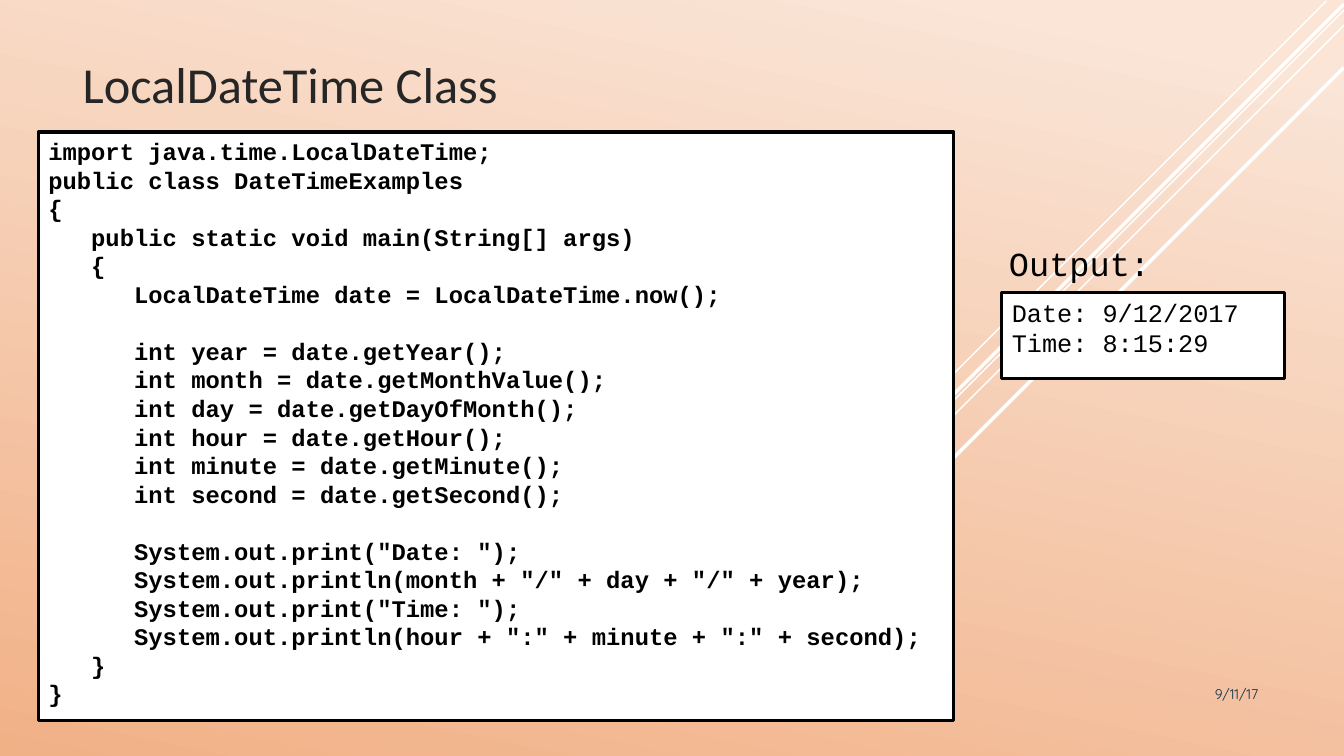
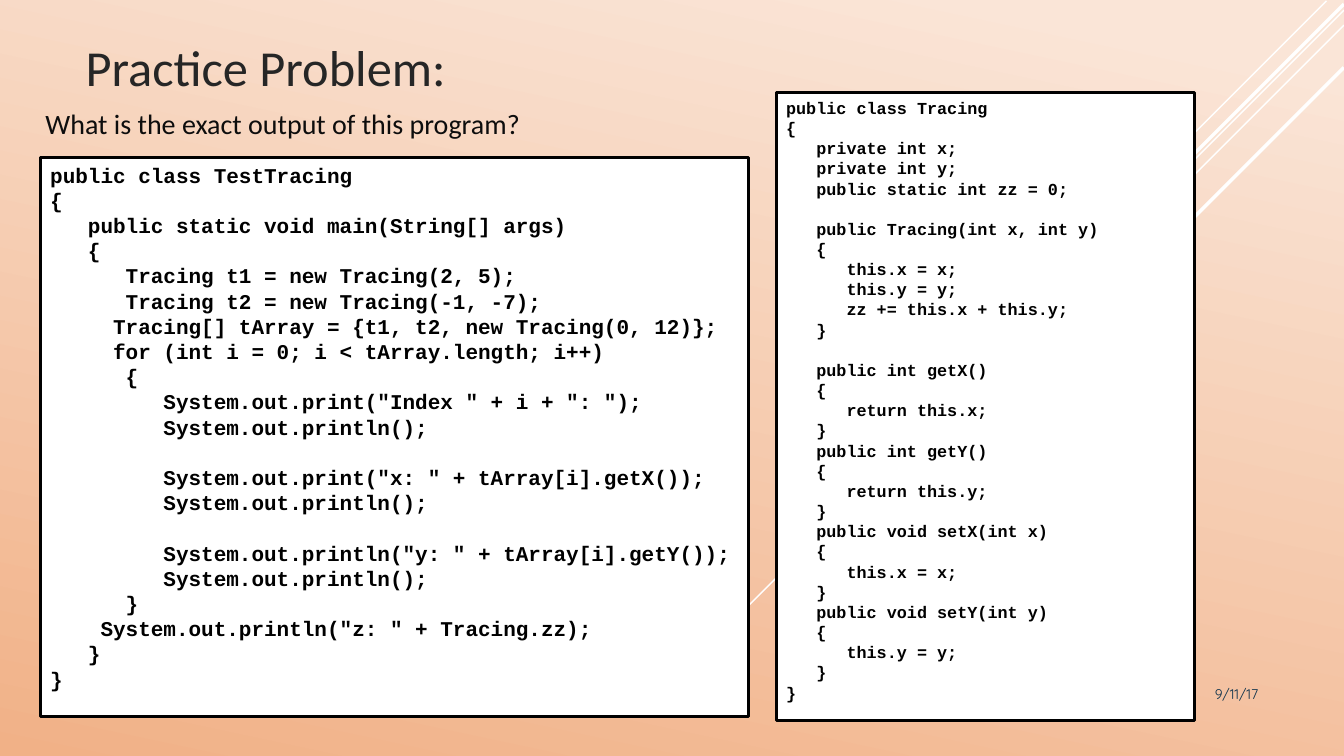
from dataclasses import dataclass

from lxml import etree
from pptx import Presentation
from pptx.dml.color import RGBColor
from pptx.enum.shapes import MSO_CONNECTOR, MSO_SHAPE
from pptx.enum.text import MSO_ANCHOR, MSO_AUTO_SIZE, PP_ALIGN
from pptx.oxml.ns import qn
from pptx.util import Pt

STRAIGHT = MSO_CONNECTOR.STRAIGHT
RECTANGLE = MSO_SHAPE.RECTANGLE
TOP, BOTTOM = MSO_ANCHOR.TOP, MSO_ANCHOR.BOTTOM
LEFT, RIGHT = PP_ALIGN.LEFT, PP_ALIGN.RIGHT
NO_AUTOFIT = MSO_AUTO_SIZE.NONE
TITLE_AND_CONTENT = 1


@dataclass(frozen=True)
class Theme:
    """Colours, fonts and type sizes of the whole presentation."""
    light: str = "FAE5D7"
    dark: str = "F1B187"
    white: str = "FFFFFF"
    black: str = "000000"
    title_color: str = "262626"
    body_color: str = "0D0D0D"
    date_color: str = "0A304A"
    text_font: str = "Calibri"
    code_font: str = "Courier New"
    date_font: str = "Quicksand"
    title_size: int = 36
    label_size: int = 24
    question_size: int = 20
    output_size: int = 18
    main_code_size: int = 17
    test_code_size: int = 15
    class_code_size: int = 12
    date_size: int = 10
    border: float = 2.25
    code_leading: float = 1.2


THEME = Theme()
SLIDE_SIZE = (960, 540)
DATE_BOX = (779.8, 486, 126, 28.8)
# Diagonal streaks: right end x, y, horizontal run, line width
STREAKS = [
    (947.5, 0.7, 299.8, 1),
    (960, 7.2, 478.8, 1),
    (960, 18, 390, 1),
    (960, 2.9, 382, 2.5),
    (960, 48.2, 342, 2.5),
]

DATE_TIME_CODE = """import java.time.LocalDateTime;
public class DateTimeExamples
{
   public static void main(String[] args)
   {
      LocalDateTime date = LocalDateTime.now();

      int year = date.getYear();
      int month = date.getMonthValue();
      int day = date.getDayOfMonth();
      int hour = date.getHour();
      int minute = date.getMinute();
      int second = date.getSecond();

      System.out.print("Date: ");
      System.out.println(month + "/" + day + "/" + year);
      System.out.print("Time: ");
      System.out.println(hour + ":" + minute + ":" + second);
   }
}"""

TRACING_CODE = """public class Tracing
{
   private int x;
   private int y;
   public static int zz = 0;

   public Tracing(int x, int y)
   {
      this.x = x;
      this.y = y;
      zz += this.x + this.y;
   }

   public int getX()
   {
      return this.x;
   }
   public int getY()
   {
      return this.y;
   }
   public void setX(int x)
   {
      this.x = x;
   }
   public void setY(int y)
   {
      this.y = y;
   }
}"""

TEST_CODE = """public class TestTracing
{
   public static void main(String[] args)
   {
      Tracing t1 = new Tracing(2, 5);
      Tracing t2 = new Tracing(-1, -7);
     Tracing[] tArray = {t1, t2, new Tracing(0, 12)};
     for (int i = 0; i < tArray.length; i++)
      {
         System.out.print("Index " + i + ": ");
         System.out.println();

         System.out.print("x: " + tArray[i].getX());
         System.out.println();

         System.out.println("y: " + tArray[i].getY());
         System.out.println();
      }
    System.out.println("z: " + Tracing.zz);
   }
}"""


def color(value):
    return RGBColor.from_string(value)


def apply(target, formats):
    for name, value in formats.items():
        setattr(target, name, value)


class Deck:
    """Holds the style and the current slide."""

    def __init__(self, theme):
        self.theme = theme
        self.slide = None
        self.presentation = Presentation()
        width, height = SLIDE_SIZE
        apply(self.presentation, {"slide_width": Pt(width), "slide_height": Pt(height)})
        self.paint_background()

    def paint_background(self):
        fill = self.presentation.slide_master.background.fill
        fill.gradient()
        fill.gradient_angle = 258
        stops = [(0.07, self.theme.light), (1, self.theme.dark)]
        for stop, (position, value) in zip(fill.gradient_stops, stops):
            stop.position = position
            stop.color.rgb = color(value)

    def new_slide(self, title, box):
        layout = self.presentation.slide_layouts[TITLE_AND_CONTENT]
        self.slide = self.presentation.slides.add_slide(layout)
        for layer, streak in enumerate(STREAKS):
            self.streak(layer, *streak)
        theme = self.theme
        self.place(self.slide.shapes.title, box)
        self.set_text(self.slide.shapes.title, title, theme.text_font, theme.title_size,
                      theme.title_color, anchor=BOTTOM)
        self.date("9/11/17")

    def place(self, shape, box):
        apply(shape, dict(zip(("left", "top", "width", "height"), map(Pt, box))))

    def set_text(self, shape, text, font, size, text_color, bold=False, align=LEFT, anchor=TOP):
        frame = shape.text_frame
        apply(frame, {"word_wrap": True, "auto_size": NO_AUTOFIT, "vertical_anchor": anchor})
        paragraph = frame.paragraphs[0]
        paragraph.text = text
        is_code = font == self.theme.code_font
        spacing = Pt(size * self.theme.code_leading) if is_code else 1.0
        apply(paragraph, {"alignment": align, "line_spacing": spacing,
                          "space_before": Pt(0), "space_after": Pt(0)})
        for run in paragraph.runs:
            apply(run.font, {"name": font, "size": Pt(size), "bold": bold})
            run.font.color.rgb = color(text_color)

    def streak(self, layer, x, y, run, width):
        """Draw one 45-degree line behind the placeholders."""
        shapes = self.slide.shapes
        line = shapes.add_connector(STRAIGHT, Pt(x), Pt(y), Pt(x - run), Pt(y + run))
        line.line.color.rgb = color(self.theme.white)
        line.line.width = Pt(width)
        etree.SubElement(line._element.spPr, qn("a:effectLst"))
        shapes._spTree.insert(2 + layer, line._element)

    def date(self, text):
        theme = self.theme
        shape = self.slide.shapes.add_textbox(*map(Pt, DATE_BOX))
        self.set_text(shape, text, theme.date_font, theme.date_size, theme.date_color,
                      align=RIGHT)

    def body(self, text, box, font, size, text_color):
        """Fill the body placeholder with one line without a bullet."""
        shape = self.slide.placeholders[1]
        self.place(shape, box)
        properties = shape.text_frame.paragraphs[0]._p.get_or_add_pPr()
        for name in ("marL", "indent"):
            properties.set(name, "0")
        etree.SubElement(properties, qn("a:buNone"))
        self.set_text(shape, text, font, size, text_color)

    def code(self, text, box, size, bold=True):
        theme = self.theme
        shape = self.slide.shapes.add_shape(RECTANGLE, *map(Pt, box))
        shape.shadow.inherit = False
        shape.fill.solid()
        shape.fill.fore_color.rgb = color(theme.white)
        shape.line.color.rgb = color(theme.black)
        shape.line.width = Pt(theme.border)
        self.set_text(shape, text, theme.code_font, size, theme.black, bold=bold)


def main():
    deck = Deck(THEME)

    # Date and time example
    deck.new_slide("LocalDateTime Class", (51.8, 10.8, 630, 74.2))
    deck.code(DATE_TIME_CODE, (27.4, 94.3, 653.8, 420.5), THEME.main_code_size)
    deck.body("Output:", (713.5, 169.9, 157, 42.5),
              THEME.code_font, THEME.label_size, THEME.black)
    deck.code("Date: 9/12/2017\nTime: 8:15:29", (715.7, 208.8, 201.6, 61.9),
              THEME.output_size, bold=False)

    # Practice problem
    deck.new_slide("Practice Problem:", (54, -1.4, 630, 74.2))
    deck.body("What is the exact output of this program?", (25.2, 72.7, 509.8, 33.8),
              THEME.text_font, THEME.question_size, THEME.body_color)
    deck.code(TRACING_CODE, (554.4, 66.2, 298.8, 448.6), THEME.class_code_size)
    deck.code(TEST_CODE, (28.8, 112.3, 506.2, 399.6), THEME.test_code_size)

    deck.presentation.save("out.pptx")


if __name__ == "__main__":
    main()
